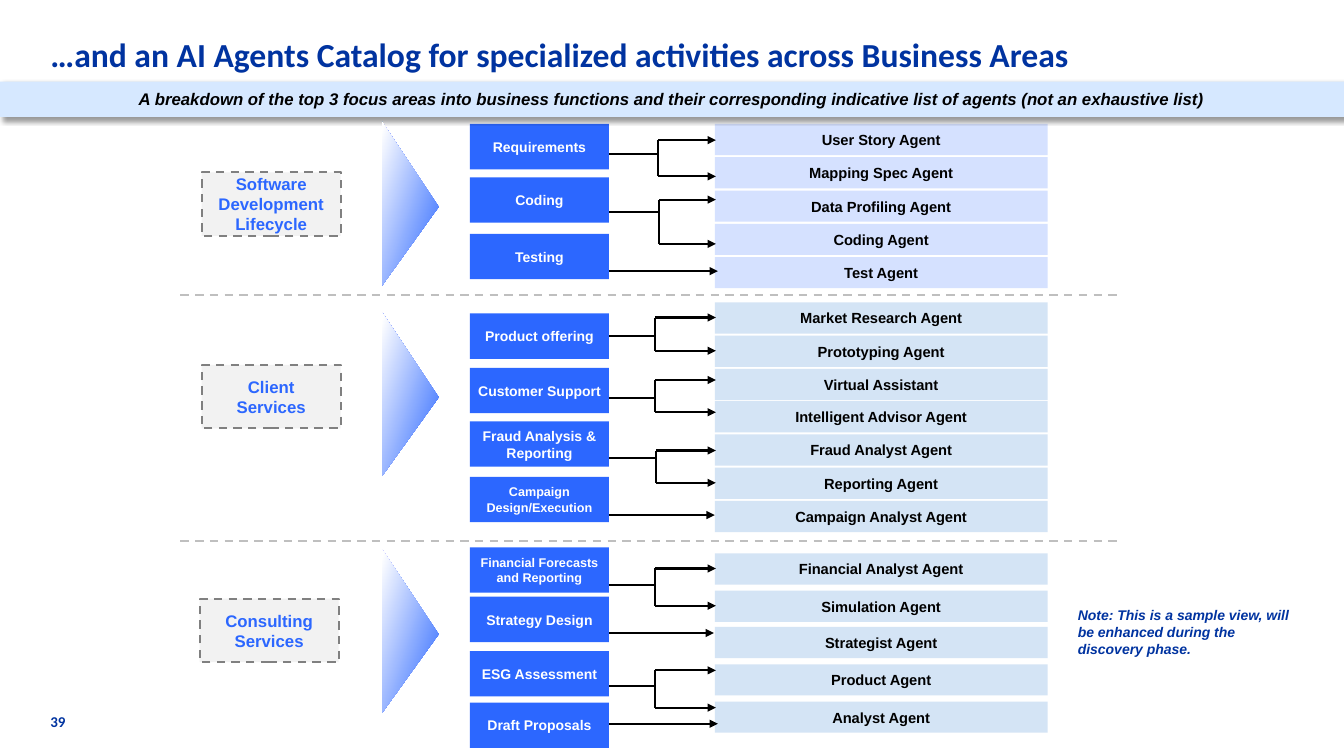
from dataclasses import dataclass

from lxml.etree import SubElement
from pptx import Presentation
from pptx.dml.color import RGBColor
from pptx.enum.dml import MSO_LINE_DASH_STYLE as DASH
from pptx.enum.shapes import MSO_CONNECTOR, MSO_SHAPE
from pptx.enum.text import MSO_ANCHOR as ANCHOR, PP_ALIGN as ALIGN
from pptx.oxml.ns import qn
from pptx.util import Pt

PX = 9144  # one hundredth of an inch
NAVY, BLUE, BLACK, WHITE = "0033A0", "2C67FF", "000000", "FFFFFF"

FUNCTION_X, FUNCTION_W, FUNCTION_H = 466, 138, 45
AGENT_X, AGENT_W, AGENT_H = 709, 330, 31
STEM_X = FUNCTION_X + FUNCTION_W
ARROW_END = 710


@dataclass
class Area:
    name: str
    label_at: tuple
    triangle_y: int
    functions: list  # (name, top, text size)
    agents: list
    agents_top: int
    last_agent_top: int
    agent_fill: str
    forks: list  # (x of the split, stem y, upper arrow y, lower arrow y)
    arrows: list  # (y, end x)


AREAS = [
    Area("Software Development Lifecycle", (200, 171), 174,
         [("Requirements", 123, 10), ("Coding", 176, 10), ("Testing", 232, 10)],
         ["User Story Agent", "Mapping Spec Agent", "Data Profiling Agent",
          "Coding Agent", "Test Agent"],
         123, 255, "D5E1FF",
         [(653, 153, 139, 175), (654, 210, 198, 242)], [(269, 712)]),
    Area("Client Services", (200, 362), 363,
         [("Product offering", 311, 10), ("Customer Support", 365, 10),
          ("Fraud Analysis & Reporting", 418, 10),
          ("Campaign Design/Execution", 473, 9)],
         ["Market Research Agent", "Prototyping Agent", "Virtual Assistant",
          "Intelligent Advisor Agent", "Fraud Analyst Agent",
          "Reporting Agent", "Campaign Analyst Agent"],
         300, 497, "D4E4F5",
         [(650, 333, 315, 348), (650, 395, 377, 409), (651, 454, 447, 479)],
         [(511, 709)]),
    Area("Consulting Services", (198, 594), 598,
         [("Financial Forecasts and Reporting", 543, 9),
          ("Strategy Design", 592, 10), ("ESG Assessment", 646, 10),
          ("Draft Proposals", 697, 10)],
         ["Financial Analyst Agent", "Simulation Agent", "Strategist Agent",
          "Product Agent", "Analyst Agent"],
         549, 696, "D4E4F5",
         [(650, 580, 564, 601), (650, 681, 665, 702)],
         [(628, 708), (718, 712)]),
]


def rgb(code):
    return RGBColor.from_string(code)


def emu(*lengths):
    return [length * PX for length in lengths]


def write(holder, text, size, color, align=ALIGN.LEFT, anchor=ANCHOR.TOP,
          side=0, font="Arial", italic=False, wrap=True):
    frame = holder.text_frame
    frame.word_wrap = wrap
    frame.vertical_anchor = anchor
    frame.margin_left = frame.margin_right = side * PX
    frame.margin_top = frame.margin_bottom = 0
    paragraph = frame.paragraphs[0]
    paragraph.alignment = align
    run = paragraph.add_run()
    run.text = text
    run.font.name, run.font.size = font, Pt(size)
    run.font.bold, run.font.italic = True, italic
    run.font.color.rgb = rgb(color)


def add_text(slide, box, text, size, **style):
    write(slide.shapes.add_textbox(*emu(*box)), text, size, NAVY, **style)


def add_box(slide, box, fill, text, size, color, side, italic=False):
    rect = slide.shapes.add_shape(MSO_SHAPE.RECTANGLE, *emu(*box))
    rect.shadow.inherit = False
    rect.fill.solid()
    rect.fill.fore_color.rgb = rgb(fill)
    rect.line.fill.background()
    write(rect, text, size, color, ALIGN.CENTER, ANCHOR.MIDDLE, side,
          italic=italic)
    return rect


def style_line(line, color, dashed):
    line.color.rgb = rgb(color)
    line.width = Pt(1.5)
    if dashed:
        line.dash_style = DASH.DASH


def add_line(slide, x1, y1, x2, y2, color=BLACK, dashed=False, arrow=False):
    connector = slide.shapes.add_connector(MSO_CONNECTOR.STRAIGHT,
                                           *emu(x1, y1, x2, y2))
    style_line(connector.line, color, dashed)
    if arrow:
        SubElement(connector.line._get_or_add_ln(), qn("a:tailEnd"),
                   type="triangle")
    SubElement(connector._element.spPr, qn("a:effectLst"))


def add_fork(slide, split_x, stem_y, upper_y, lower_y):
    """One stem that splits into two arrows."""
    add_line(slide, STEM_X, stem_y, split_x, stem_y)
    add_line(slide, split_x, upper_y, split_x, lower_y)
    for y in (upper_y, lower_y):
        add_line(slide, split_x, y, ARROW_END, y, arrow=True)


def add_triangle(slide, top):
    triangle = slide.shapes.add_shape(MSO_SHAPE.ISOSCELES_TRIANGLE,
                                      *emu(326, top, 162, 56))
    triangle.rotation = 90
    triangle.adjustments[0] = 0.52
    triangle.shadow.inherit = False
    triangle.line.fill.background()
    triangle.fill.gradient()
    triangle.fill.gradient_angle = 252
    stops = triangle.fill.gradient_stops
    for stop, color, position in zip(stops, (BLUE, WHITE), (0, 0.98)):
        stop.color.rgb = rgb(color)
        stop.position = position


def add_banner(slide, text):
    banner = add_box(slide, (0, 81, 1333, 35), "D6E8FF", text, 12, BLACK, 10,
                     italic=True)
    effects = banner._element.spPr.find(qn("a:effectLst"))
    shadow = SubElement(effects, qn("a:outerShdw"), blurRad=str(Pt(4)),
                        dist=str(Pt(3)), dir="2700000", algn="tl",
                        rotWithShape="0")
    tint = SubElement(shadow, qn("a:srgbClr"), val=BLACK)
    SubElement(tint, qn("a:alpha"), val="40000")


def add_area(slide, area):
    label = add_box(slide, (*area.label_at, 138, 63), "F2F2F2", area.name,
                    12, BLUE, 10)
    style_line(label.line, "808080", dashed=True)
    pitch = (area.last_agent_top - area.agents_top) / (len(area.agents) - 1)
    for row, agent in enumerate(area.agents):
        top = round(area.agents_top + row * pitch)
        add_box(slide, (AGENT_X, top, AGENT_W, AGENT_H), area.agent_fill,
                agent, 10.5, BLACK, 12)
    for fork in area.forks:
        add_fork(slide, *fork)
    for y, end_x in area.arrows:
        add_line(slide, STEM_X, y, end_x, y, arrow=True)
    for name, top, size in area.functions:
        add_box(slide, (FUNCTION_X, top, FUNCTION_W, FUNCTION_H), BLUE, name,
                size, WHITE, 8)


def main():
    deck = Presentation()
    deck.slide_width, deck.slide_height = emu(1333, 750)
    slide = deck.slides.add_slide(deck.slide_layouts[6])
    add_text(slide, (50, 685, 39, 40), "39", 10.7, font="Calibri",
             anchor=ANCHOR.BOTTOM)
    add_text(slide, (50, 34, 1233, 38),
             "…and an AI Agents Catalog for specialized activities across "
             "Business Areas", 24, font="Calibri")
    add_text(slide, (1069, 602, 217, 68),
             "Note: This is a sample view, will be enhanced during the "
             "discovery phase.", 10, italic=True)
    for y in (293, 537):
        add_line(slide, 179, y, 1112, y, "BFBFBF", dashed=True)
    for area in AREAS:
        add_area(slide, area)
    add_banner(slide, "A breakdown of the top 3 focus areas into business "
               "functions and their corresponding indicative list of agents "
               "(not an exhaustive list)")
    for area in AREAS:
        add_triangle(slide, area.triangle_y)
    deck.save("out.pptx")


if __name__ == "__main__":
    main()
